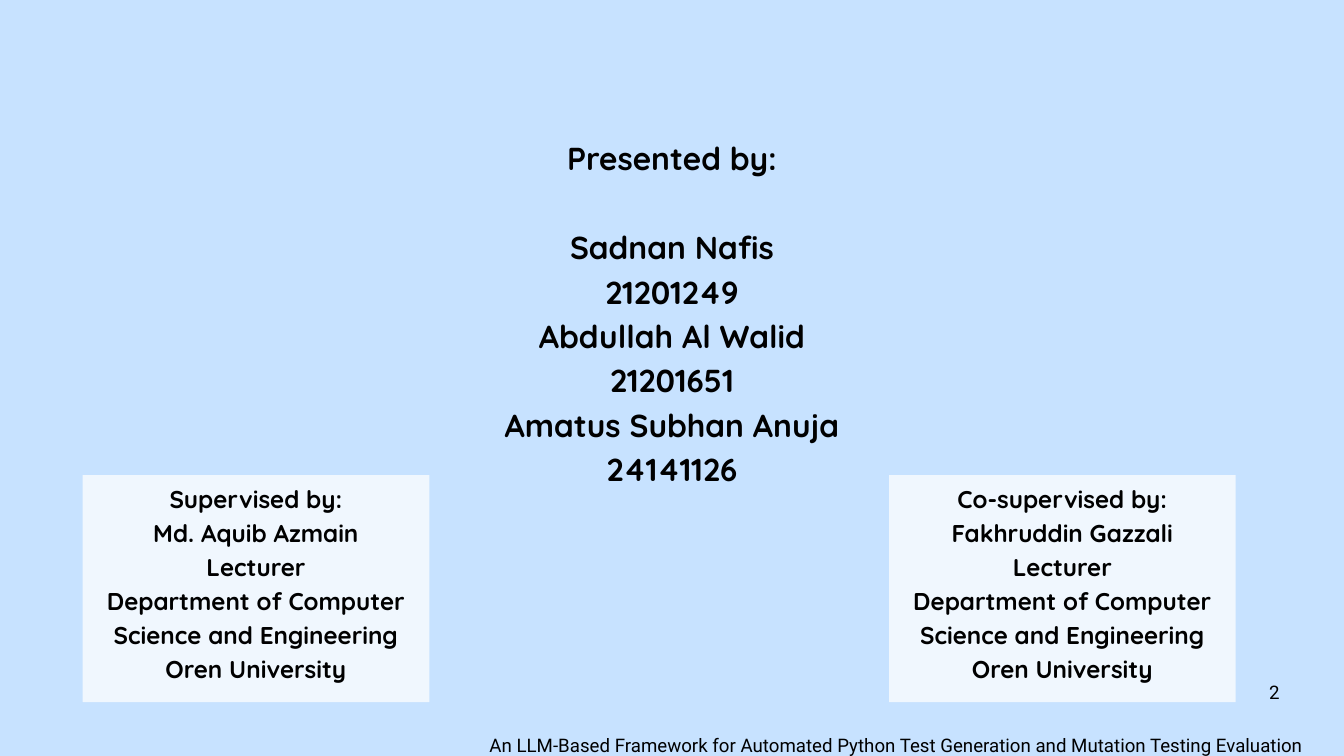
import dataclasses

import pptx
import pptx.dml.color
import pptx.enum.shapes
import pptx.enum.text
import pptx.util

PX = 9144  # EMU per px, 100 px to the inch
BACKGROUND, CARD, INK = "C7E2FF", "F0F7FE", "000000"
ANCHOR = pptx.enum.text.MSO_ANCHOR


@dataclasses.dataclass(frozen=True)
class Box:
    left: int
    top: int
    width: int
    height: int

    def emu(self) -> list[int]:
        return [v * PX for v in dataclasses.astuple(self)]


@dataclasses.dataclass(frozen=True)
class Style:
    font: str
    size: int
    bold: bool
    inset: int
    anchor: ANCHOR
    wrap: bool = True


@dataclasses.dataclass(frozen=True)
class Supervisor:
    left: int
    role: str
    name: str


PRESENTERS = Style("Quicksand", 34, True, 6, ANCHOR.MIDDLE)
SUPERVISORS = Style("Quicksand", 26, True, 6, ANCHOR.MIDDLE)
FOOTER = Style("Roboto", 20, False, 0, ANCHOR.TOP)
PAGE_NUMBER = dataclasses.replace(FOOTER, wrap=False)

TEAM = [
    ("Sadnan Nafis", "21201249"),
    ("Abdullah Al Walid", "21201651"),
    ("Amatus Subhan Anuja", "24141126"),
]
CARDS = [
    Supervisor(123, "Supervised by:", "Md. Aquib Azmain"),
    Supervisor(1323, "Co-supervised by:", "Fakhruddin Gazzali"),
]
POST = [
    "Lecturer",
    "Department of Computer Science and Engineering",
    "Oren University",
]


def rgb(value: str) -> pptx.dml.color.RGBColor:
    return pptx.dml.color.RGBColor.from_string(value)


def add_text(slide, box: Box, lines: list[str], style: Style, gap_lines: int = 0) -> None:
    """Add centred lines, with gap_lines of space after the first one."""
    tf = slide.shapes.add_textbox(*box.emu()).text_frame
    frame = {"word_wrap": style.wrap, "vertical_anchor": style.anchor}
    for side in ("left", "top", "right", "bottom"):
        frame[f"margin_{side}"] = style.inset * PX
    for key, value in frame.items():
        setattr(tf, key, value)
    leading = pptx.util.Pt(style.size * 1.4)
    font = {"name": style.font, "size": pptx.util.Pt(style.size), "bold": style.bold}
    for i, line in enumerate(lines):
        p = tf.add_paragraph() if i else tf.paragraphs[0]
        p.alignment = pptx.enum.text.PP_ALIGN.CENTER
        p.line_spacing = leading
        if i == 0 and gap_lines:
            p.space_after = leading * gap_lines
        r = p.add_run()
        r.text = line
        for key, value in font.items():
            setattr(r.font, key, value)
        r.font.color.rgb = rgb(INK)


def add_card(slide, card: Supervisor) -> None:
    s = slide.shapes.add_shape(
        pptx.enum.shapes.MSO_SHAPE.RECTANGLE, *Box(card.left, 707, 516, 338).emu()
    )
    s.shadow.inherit = False
    s.fill.solid()
    s.fill.fore_color.rgb = rgb(CARD)
    s.line.fill.background()
    lines = [card.role, card.name, *POST]
    add_text(slide, Box(card.left, 684, 516, 362), lines, SUPERVISORS)


def main() -> None:
    prs = pptx.Presentation()
    prs.slide_width, prs.slide_height = 2000 * PX, 1125 * PX
    slide = prs.slides.add_slide(prs.slide_layouts[6])
    slide.background.fill.solid()
    slide.background.fill.fore_color.rgb = rgb(BACKGROUND)

    for card in CARDS:
        add_card(slide, card)
    presenters = ["Presented by:", *(line for member in TEAM for line in member)]
    add_text(slide, Box(582, 114, 836, 696), presenters, PRESENTERS, gap_lines=1)
    add_text(slide, Box(1888, 1007, 17, 22), ["2"], PAGE_NUMBER)
    title = "An LLM-Based Framework for Automated Python Test Generation and Mutation Testing Evaluation"
    add_text(slide, Box(667, 1087, 1333, 37), [title], FOOTER)
    prs.save("out.pptx")


if __name__ == "__main__":
    main()
